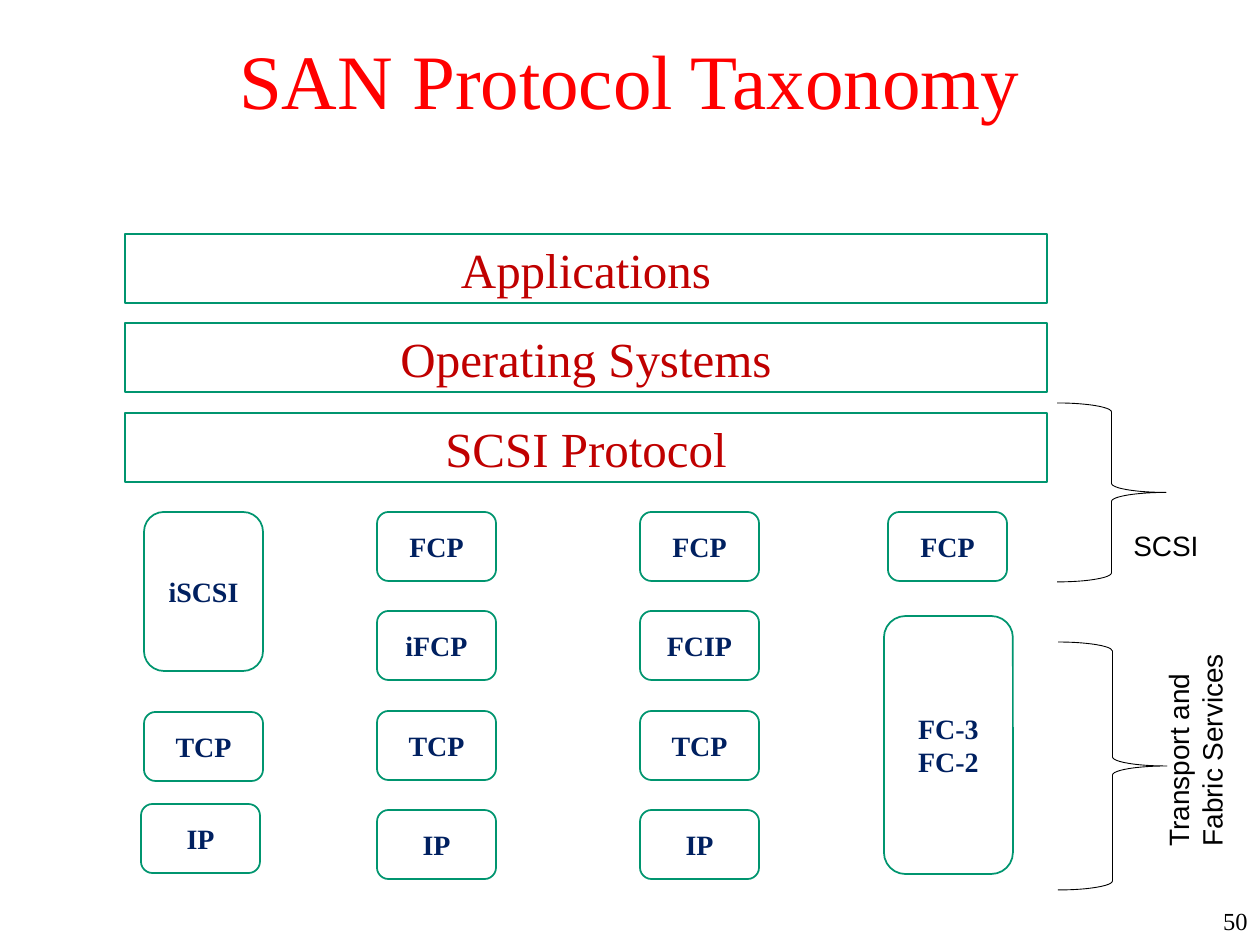
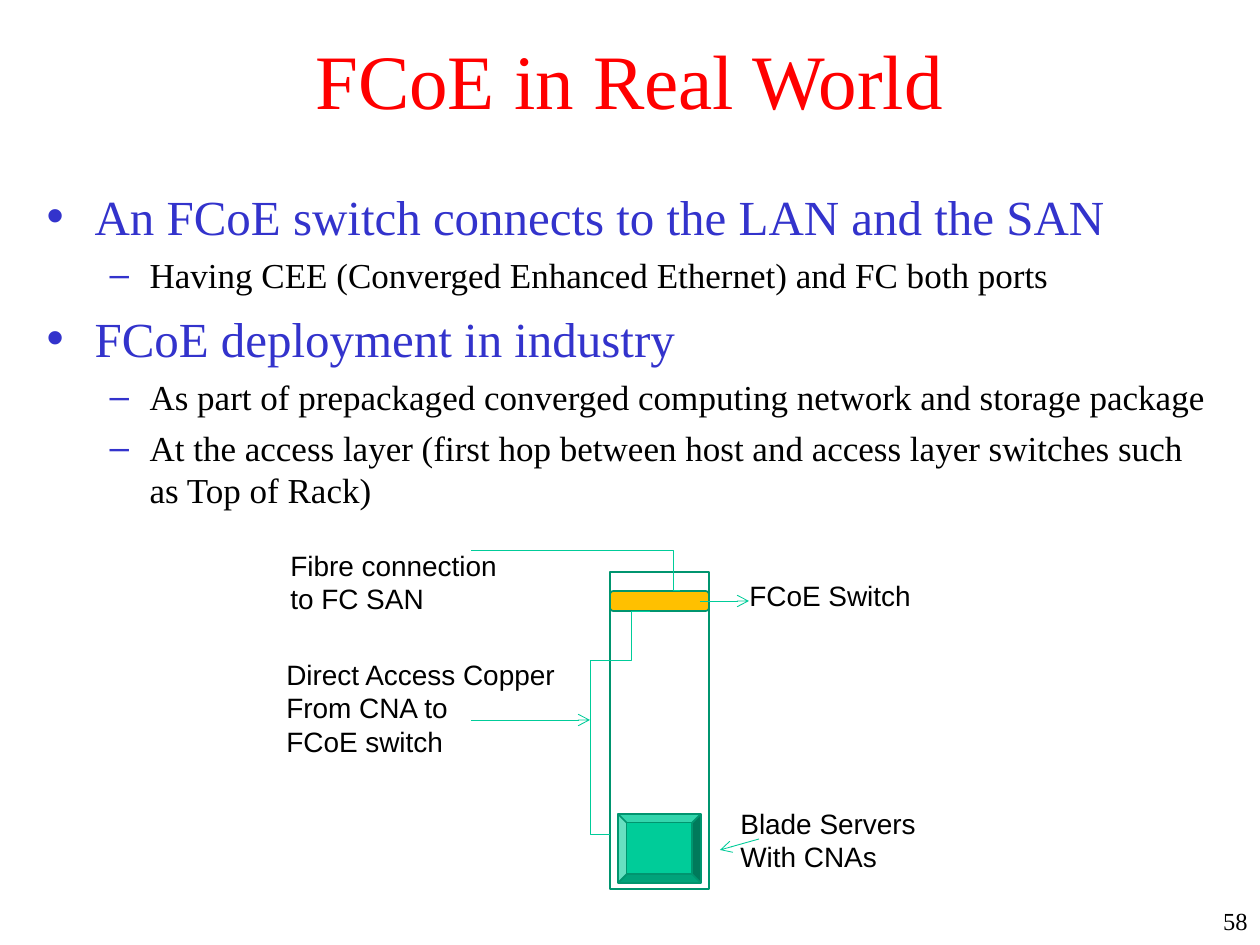
from lxml import etree
from pptx import Presentation
from pptx.dml.color import RGBColor
from pptx.enum import shapes, text
from pptx.oxml import ns
from pptx.util import Pt

SCALE = 914400 / 126  # EMU in one px
SERIF, SANS = "Times New Roman", "Arial"
RED = RGBColor(0xFF, 0x00, 0x00)
DARK_RED = RGBColor(0xC0, 0x00, 0x00)
NAVY = RGBColor(0x00, 0x20, 0x60)
BLUE = RGBColor(0x33, 0x33, 0xCC)
GREEN = RGBColor(0x00, 0x95, 0x6F)
MINT = RGBColor(0x00, 0xCC, 0x99)
AMBER = RGBColor(0xFF, 0xC0, 0x00)
BLACK = RGBColor(0x00, 0x00, 0x00)
WHITE = RGBColor(0xFF, 0xFF, 0xFF)
LEFT, CENTER, RIGHT = text.PP_ALIGN.LEFT, text.PP_ALIGN.CENTER, text.PP_ALIGN.RIGHT
RECT = shapes.MSO_SHAPE.RECTANGLE
ROUND = shapes.MSO_SHAPE.ROUNDED_RECTANGLE
BRACE = shapes.MSO_SHAPE.RIGHT_BRACE
BEVEL = shapes.MSO_SHAPE.BEVEL


def write(frame, lines, size, colour, font=SERIF, align=CENTER, bold=False):
    """Fill a text frame, one paragraph for each line."""
    for number, line in enumerate(lines):
        para = frame.add_paragraph() if number else frame.paragraphs[0]
        para.alignment = align
        span = para.add_run()
        span.text = line
        span.font.name, span.font.size, span.font.bold = font, Pt(size), bold
        span.font.color.rgb = colour


def add_box(page, kind, place, fill=None, line=GREEN, weight=1):
    """Add a preset shape, or a text box when kind is None."""
    place = [round(v * SCALE) for v in place]
    if kind is None:
        return page.shapes.add_textbox(*place)
    box = page.shapes.add_shape(kind, *place)
    box.shadow.inherit = False
    if fill is None:
        box.fill.background()
    else:
        box.fill.solid()
        box.fill.fore_color.rgb = fill
    box.line.color.rgb = line
    box.line.width = Pt(weight)
    box.text_frame.word_wrap = True
    box.text_frame.vertical_anchor = text.MSO_ANCHOR.MIDDLE
    return box


deck = Presentation()
deck.slide_width, deck.slide_height = round(1260 * SCALE), round(945 * SCALE)

# Titles and page numbers
pages = []
for layout, heading, number in [(5, "SAN Protocol Taxonomy", "50"),
                                (1, "FCoE in Real World", "58")]:
    page = deck.slides.add_slide(deck.slide_layouts[layout])
    title = page.shapes.title
    title.left, title.top = round(94 * SCALE), 0
    title.width, title.height = round(1071 * SCALE), round(158 * SCALE)
    title.text_frame.auto_size = text.MSO_AUTO_SIZE.NONE
    title.text_frame.vertical_anchor = text.MSO_ANCHOR.MIDDLE
    write(title.text_frame, [heading], 44, RED)
    footer = add_box(page, None, (1193, 900, 67, 45))
    footer.text_frame.word_wrap = True
    write(footer.text_frame, [number], 14, BLACK, align=RIGHT)
    pages.append(page)
taxonomy, real_world = pages

# Layers shared by all protocols
for row, layer in enumerate(["Applications", "Operating Systems", "SCSI Protocol"]):
    bar = add_box(taxonomy, RECT, (125, 234 + row * 179 // 2, 922, 69), WHITE)
    write(bar.text_frame, [layer], 28, DARK_RED)

# Protocol stacks: regular cells first, then the cells off the grid
cells = [((x, 512 + row * 199 // 2, 119, 69), [name])
         for x, names in [(377, ["FCP", "iFCP", "TCP", "IP"]),
                          (640, ["FCP", "FCIP", "TCP", "IP"]),
                          (888, ["FCP"])]
         for row, name in enumerate(names)]
cells += [((144, 512, 119, 159), ["iSCSI"]),
          ((144, 712, 119, 69), ["TCP"]),
          ((141, 804, 119, 69), ["IP"]),
          ((884, 616, 129, 258), ["FC-3", "FC-2"])]
for place, names in cells:
    cell = add_box(taxonomy, ROUND, place)
    write(cell.text_frame, names, 16, NAVY, bold=True)

# Braces beside the stacks
for place in [(1057, 403, 109, 179), (1058, 642, 109, 248)]:
    add_box(taxonomy, BRACE, place, line=BLACK, weight=0.5)

# Bulleted list
body = real_world.placeholders[1]
body.left, body.top = round(34 * SCALE), round(180 * SCALE)
body.width, body.height = round(1191 * SCALE), round(718 * SCALE)
frame = body.text_frame
frame.auto_size = text.MSO_AUTO_SIZE.NONE
points = [
    (0, "An FCoE switch connects to the LAN and the SAN"),
    (1, "Having CEE (Converged Enhanced Ethernet) and FC both ports"),
    (0, "FCoE deployment in industry"),
    (1, "As part of prepackaged converged computing network and storage package"),
    (1, "At the access layer (first hop between host and access layer switches such "
        "as Top of Rack)"),
]
# For each level: bullet, indent and hanging in px, space before, size, colour
levels = [("•", 48, 48, 7, 28, BLUE), ("–", 103, 40, 5, 20, BLACK)]
for number, (level, point) in enumerate(points):
    bullet, indent, hanging, space, size, colour = levels[level]
    para = frame.add_paragraph() if number else frame.paragraphs[0]
    para.level = level
    para.space_before = Pt(space if number else 0)
    props = para._p.get_or_add_pPr()
    props.set("marL", str(round(indent * SCALE)))
    props.set("indent", str(-round(hanging * SCALE)))
    tint = etree.SubElement(props, ns.qn("a:buClr"))
    etree.SubElement(tint, ns.qn("a:srgbClr"), val=str(BLUE))
    etree.SubElement(props, ns.qn("a:buChar"), char=bullet)
    span = para.add_run()
    span.text = point
    span.font.name, span.font.size = SERIF, Pt(size)
    span.font.color.rgb = colour

# Rack with blade servers and switch
add_box(real_world, RECT, (610, 572, 99, 317))
add_box(real_world, BEVEL, (618, 814, 83, 69), MINT)
add_box(real_world, ROUND, (610, 591, 99, 20), AMBER)

# Cables (elbow, with the bend as a share of the width) and pointers (straight)
for start, end, bend in [((610, 835), (590, 661), 1),
                         ((590, 661), (650, 611), 0.69),
                         ((680, 591), (471, 551), 0.03),
                         ((471, 720), (590, 720), None),
                         ((759, 839), (720, 850), None),
                         ((700, 601), (749, 601), None)]:
    kind = shapes.MSO_CONNECTOR.STRAIGHT if bend is None else shapes.MSO_CONNECTOR.ELBOW
    link = real_world.shapes.add_connector(kind, *[round(v * SCALE) for v in start + end])
    link.line.color.rgb = MINT
    link.line.width = Pt(0.5)
    props = link._element.spPr
    if bend is None:
        etree.SubElement(link.line._get_or_add_ln(), ns.qn("a:tailEnd"), type="arrow")
    else:
        guides = props.find(ns.qn("a:prstGeom")).get_or_add_avLst()
        etree.SubElement(guides, ns.qn("a:gd"), name="adj1", fmla=f"val {round(bend * 100000)}")
    etree.SubElement(props, ns.qn("a:effectLst"))

# Labels of both slides, each growing with its text instead of wrapping
for page, place, lines, turn in [
    (taxonomy, (1121, 522, 90, 47), ["SCSI"], 0),
    (taxonomy, (1086, 709, 219, 81), ["Transport and", "Fabric Services"], 270),
    (real_world, (737, 572, 188, 47), ["FCoE Switch"], 0),
    (real_world, (728, 800, 208, 81), ["Blade Servers", "With CNAs"], 0),
    (real_world, (274, 651, 302, 113),
     ["Direct Access Copper", "From CNA to", "FCoE switch"], 0),
    (real_world, (278, 542, 239, 81), ["Fibre connection", "to FC SAN"], 0),
]:
    label = add_box(page, None, place)
    label.rotation = turn
    label.text_frame.word_wrap = False
    label.text_frame.auto_size = text.MSO_AUTO_SIZE.SHAPE_TO_FIT_TEXT
    write(label.text_frame, lines, 16, BLACK, SANS, LEFT)

deck.save("out.pptx")
